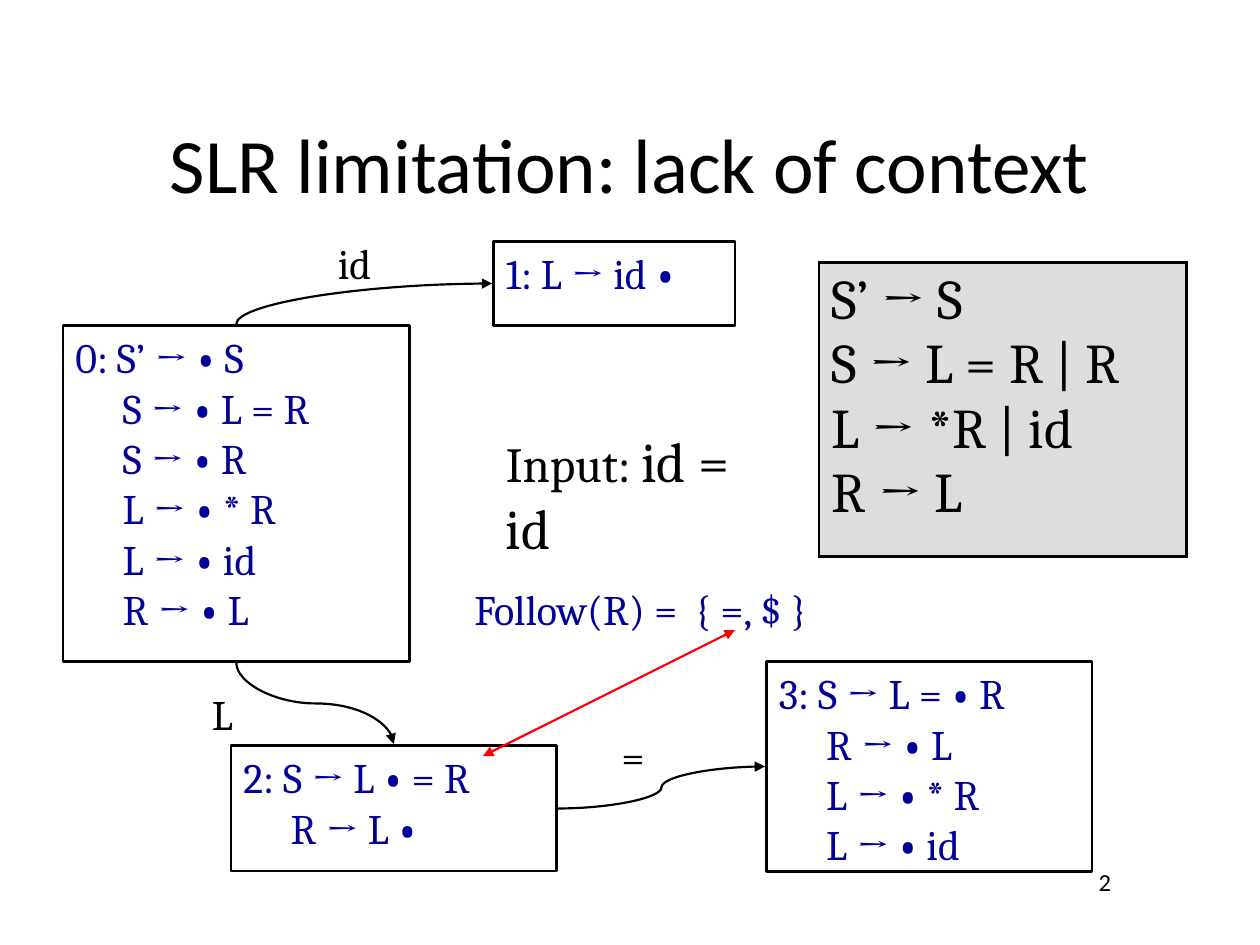
from lxml.etree import SubElement
from pptx import Presentation
from pptx.dml.color import RGBColor
from pptx.enum.shapes import MSO_CONNECTOR as Connector, MSO_SHAPE as Shape
from pptx.enum.text import MSO_ANCHOR as Anchor, PP_ALIGN as Align
from pptx.oxml.ns import qn
from pptx.util import Pt

PX = 9525  # EMU per px, 96 px to the inch
BLACK = RGBColor(0x00, 0x00, 0x00)
WHITE = RGBColor(0xFF, 0xFF, 0xFF)
NAVY = RGBColor(0x00, 0x00, 0x99)
RED = RGBColor(0xFF, 0x00, 0x00)
GREY = RGBColor(0xDD, 0xDD, 0xDD)
LINE_WIDTH = Pt(1.25)
HANG = 36  # hanging indent of the item sets, px

# Content: (left, top, width, height) in px, then text
TITLE = ((72, 64, 816, 120), "SLR limitation: lack of context")
PAGE_NUMBER = ((656, 656, 200, 48), "2")
STATES = [
    ((48, 248, 264, 256), "0: S’ → • S\nS → • L = R\nS → • R\nL → • * R\nL → • id\nR → • L"),
    ((376, 184, 184, 64), "1: L → id •"),
    ((176, 568, 248, 96), "2: S → L • = R\nR → L •"),
    ((584, 504, 248, 160), "3: S → L = • R\nR → • L\nL → • * R\nL → • id"),
]
GRAMMAR = ((624, 200, 280, 224), "S’ → S\nS → L = R | R\nL → *R | id\nR → L")
# Transitions: start, end, preset, leaves vertically, label, label corner
TRANSITIONS = [
    ((180, 247), (375, 216), "curvedConnector2", True, "id", (248, 176)),
    ((180, 505), (300, 567), "curvedConnector3", True, "L", (152, 520)),
    ((425, 616), (583, 584), "curvedConnector3", False, "=", (464, 552)),
]
LABEL_SIZE = (56, 56)
FOLLOW = ((352, 440, 240, 56), "Follow(R) =")
FOLLOW_SET = ((520, 440, 168, 56), "{ =, $ }")
CONFLICT = ((560, 480), (368, 576))
INPUT = ((328, 320, 280, 60), [("Input: ", 28), ("id = id", 32)])

presentation = Presentation()
presentation.slide_width, presentation.slide_height = 960 * PX, 720 * PX
slide = presentation.slides.add_slide(presentation.slide_layouts[6])
shapes = slide.shapes


def emu(values):
    return [round(value * PX) for value in values]


def write(frame, text, size=24, font="Cambria", color=BLACK, align=Align.LEFT,
          anchor=Anchor.TOP, left=0, indent=0):
    """Write text, or (text, size) parts, with bold dots and line breaks."""
    frame.word_wrap = True
    frame.vertical_anchor = anchor
    paragraph = frame.paragraphs[0]
    paragraph.alignment = align
    properties = paragraph._p.get_or_add_pPr()
    properties.set("marL", str(left * PX))
    properties.set("indent", str(indent * PX))
    parts = [(text, size)] if isinstance(text, str) else text
    for part, part_size in parts:
        for number, line in enumerate(part.split("\n")):
            if number:
                paragraph.add_line_break()
            for piece in line.replace("•", "\t•\t").split("\t"):
                if piece:
                    run = paragraph.add_run()
                    run.text = piece
                    run.font.size, run.font.name = Pt(part_size), font
                    run.font.bold = piece == "•"
                    run.font.color.rgb = color


def add_text(box, text, **style):
    write(shapes.add_textbox(*emu(box)).text_frame, text, **style)


def add_box(box, text, fill=None, line=None):
    shape = shapes.add_shape(Shape.RECTANGLE, *emu(box))
    shape.shadow.inherit = False
    if fill is None:
        shape.fill.background()
    else:
        shape.fill.solid()
        shape.fill.fore_color.rgb = fill
    if line is None:
        shape.line.fill.background()
    else:
        shape.line.color.rgb, shape.line.width = line, LINE_WIDTH
    write(shape.text_frame, text, color=NAVY, left=HANG, indent=-HANG)


def add_arrow(start, end, kind, color, ends=("tailEnd",)):
    connector = shapes.add_connector(kind, *emu(start + end))
    connector.line.color.rgb, connector.line.width = color, LINE_WIDTH
    outline = connector.line._get_or_add_ln()
    for name in ends:
        SubElement(outline, qn("a:" + name), type="triangle")
    SubElement(connector._element.spPr, qn("a:effectLst"))
    return connector


def add_curve(start, end, preset, vertical):
    """A curve that leaves vertically is a horizontal one turned by 270 degrees."""
    if not vertical:
        add_arrow(start, end, Connector.CURVE, BLACK)
        return
    (x1, y1), (x2, y2) = start, end
    middle_x, middle_y = (x1 + x2) / 2, (y1 + y2) / 2
    half_width, half_height = (y1 - y2) / 2, (x2 - x1) / 2
    connector = add_arrow((middle_x - half_width, middle_y - half_height),
                          (middle_x + half_width, middle_y + half_height),
                          Connector.CURVE, BLACK)
    properties = connector._element.spPr
    properties.find(qn("a:xfrm")).set("rot", str(270 * 60000))
    properties.find(qn("a:prstGeom")).set("prst", preset)


# Title and page number
add_text(*TITLE, size=44, font="Calibri", align=Align.CENTER, anchor=Anchor.MIDDLE)
add_text(*PAGE_NUMBER, size=14, font="Calibri", align=Align.RIGHT)

# Grammar table
grammar_box, grammar_text = GRAMMAR
table = shapes.add_table(1, 1, *emu(grammar_box)).table
table.first_row = table.horz_banding = False
cell = table.cell(0, 0)
write(cell.text_frame, grammar_text, size=32)
cell_properties = cell._tc.get_or_add_tcPr()
for side in ("lnL", "lnR", "lnT", "lnB"):
    border = SubElement(cell_properties, qn("a:" + side), w=str(Pt(1.5)))
    border_fill = SubElement(border, qn("a:solidFill"))
    SubElement(border_fill, qn("a:srgbClr"), val=str(BLACK))
cell.fill.solid()
cell.fill.fore_color.rgb = GREY

# Automaton states and transitions
for state_box, items in STATES:
    add_box(state_box, items, line=BLACK)
for start, end, preset, vertical, label, corner in TRANSITIONS:
    add_curve(start, end, preset, vertical)
    add_text(corner + LABEL_SIZE, label, left=HANG, indent=-HANG)

# Follow set, the conflict it causes, and the input
add_text(*FOLLOW, color=NAVY, left=HANG, indent=-HANG)
add_box(*FOLLOW_SET, fill=WHITE)
add_arrow(*CONFLICT, Connector.STRAIGHT, RED, ends=("headEnd", "tailEnd"))
add_text(*INPUT, left=48)

presentation.save("out.pptx")
